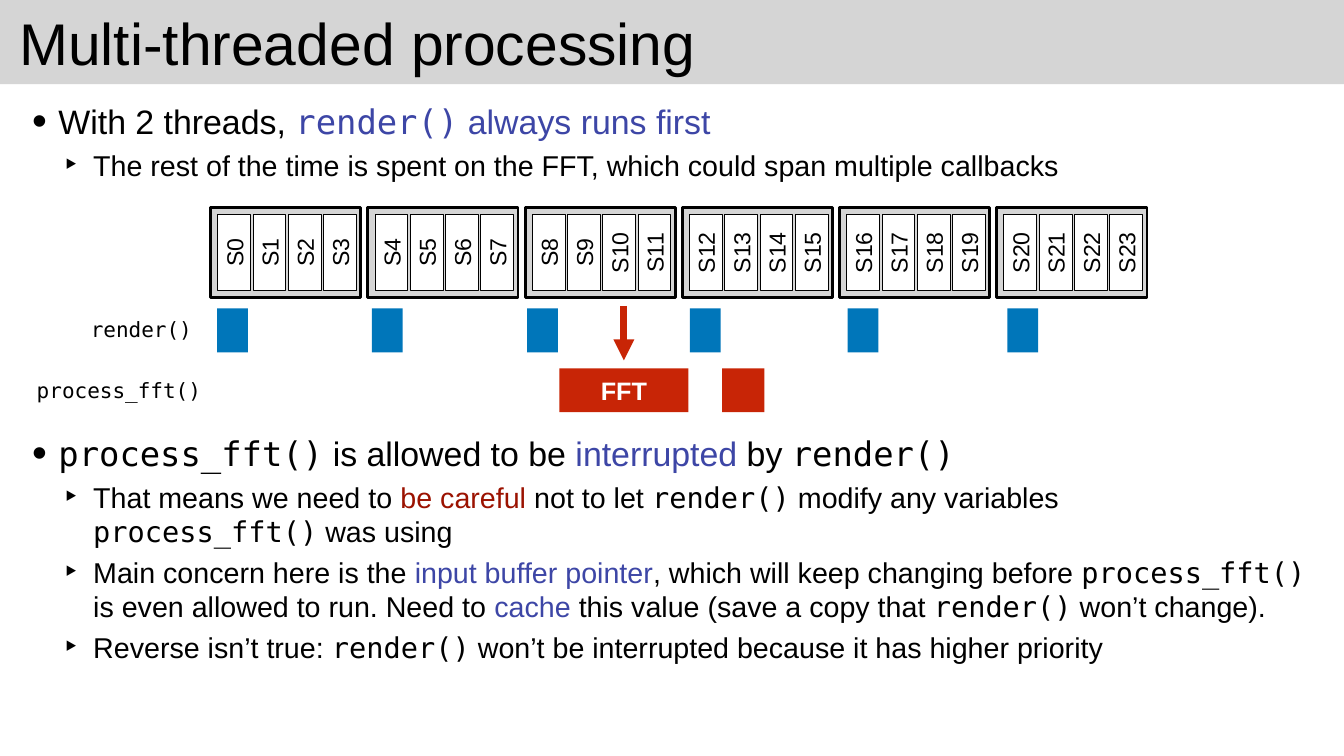
from dataclasses import dataclass

from lxml.etree import SubElement
from pptx import Presentation
from pptx.dml.color import RGBColor
from pptx.enum.shapes import MSO_CONNECTOR, MSO_SHAPE
from pptx.enum.text import MSO_ANCHOR, PP_ALIGN
from pptx.oxml.ns import qn
from pptx.util import Inches, Pt


@dataclass(frozen=True)
class Theme:
    sans: str = "Arial"
    mono: str = "DejaVu Sans Mono"
    black: RGBColor = RGBColor.from_string("000000")
    white: RGBColor = RGBColor.from_string("FFFFFF")
    gray: RGBColor = RGBColor.from_string("D5D5D5")
    accent: RGBColor = RGBColor.from_string("3D46A6")
    warning: RGBColor = RGBColor.from_string("9B1200")
    render: RGBColor = RGBColor.from_string("0076BA")
    fft: RGBColor = RGBColor.from_string("C82506")
    title_size: float = 84
    heading_size: float = 48.4
    detail_size: float = 40.9
    fft_size: float = 36
    sample_size: float = 33
    label_size: float = 30


theme = Theme()
presentation = Presentation()
presentation.slide_width, presentation.slide_height = Inches(26.67), Inches(15)
slide = presentation.slides.add_slide(presentation.slide_layouts[5])


def add_box(left, top, width, height, fill=None, line=0, text="", size=12,
            color=theme.black, font=theme.sans, bold=False):
    """Add a rectangle, or a plain text box when there is no fill, with centred text."""
    frame = [Inches(value) for value in (left, top, width, height)]
    if fill is None:
        shape = slide.shapes.add_textbox(*frame)
    else:
        shape = slide.shapes.add_shape(MSO_SHAPE.RECTANGLE, *frame)
        shape.shadow.inherit = False
        shape.fill.solid()
        shape.fill.fore_color.rgb = fill
        if line:
            shape.line.color.rgb = theme.black
            shape.line.width = Pt(line)
        else:
            shape.line.fill.background()
    if text:
        text_frame = shape.text_frame
        text_frame.word_wrap = False
        text_frame.vertical_anchor = MSO_ANCHOR.MIDDLE
        text_frame.margin_left = text_frame.margin_right = Inches(0.06)
        text_frame.margin_top = text_frame.margin_bottom = Inches(0.06)
        paragraph = text_frame.paragraphs[0]
        paragraph.text = text
        paragraph.alignment = PP_ALIGN.CENTER
        paragraph.font.name, paragraph.font.size = font, Pt(size)
        paragraph.font.bold, paragraph.font.color.rgb = bold, color
    return shape


def add_bullets(top, height, bullets):
    """Add a list of (level, runs); each run is text with an optional font and colour."""
    box = slide.shapes.add_textbox(Inches(0.58), Inches(top), Inches(25.79), Inches(height))
    text_frame = box.text_frame
    text_frame.word_wrap = True
    text_frame.margin_left = text_frame.margin_right = Inches(0.06)
    text_frame.margin_top = text_frame.margin_bottom = Inches(0.06)
    for index, (level, runs) in enumerate(bullets):
        paragraph = text_frame.add_paragraph() if index else text_frame.paragraphs[0]
        paragraph.level = level
        if index:
            paragraph.space_before = Pt(9)
        margin, hanging, mark = ((0.52, 0.52, "•"), (1.21, 0.57, "‣"))[level]
        properties = paragraph._p.get_or_add_pPr()
        properties.set("marL", str(Inches(margin)))
        properties.set("indent", str(-Inches(hanging)))
        SubElement(properties, qn("a:buSzPct"), val="125000")
        SubElement(properties, qn("a:buFont"), typeface=theme.sans)
        SubElement(properties, qn("a:buChar"), char=mark)
        paragraph.font.size = Pt((theme.heading_size, theme.detail_size)[level])
        paragraph.font.name, paragraph.font.color.rgb = theme.sans, theme.black
        for text, *style in runs:
            if text == "\n":
                paragraph.add_line_break()
                continue
            run = paragraph.add_run()
            run.text = text
            for value in style:
                if isinstance(value, RGBColor):
                    run.font.color.rgb = value
                else:
                    run.font.name = value


# Title band
title = slide.shapes.title
title.left, title.top, title.width, title.height = 0, 0, presentation.slide_width, Inches(1.67)
title.fill.solid()
title.fill.fore_color.rgb = theme.gray
title.text_frame.margin_left = Inches(0.38)
title.text_frame.vertical_anchor = MSO_ANCHOR.MIDDLE
title.text_frame.text = "Multi-threaded processing"
paragraph = title.text_frame.paragraphs[0]
paragraph.alignment = PP_ALIGN.LEFT
paragraph.font.name, paragraph.font.size = theme.sans, Pt(theme.title_size)
paragraph.font.color.rgb = theme.black

# Explanations above and below the timeline
render, process = ("render()", theme.mono), ("process_fft()", theme.mono)
add_bullets(1.94, 1.9, [
    (0, [("With 2 threads, ",), (*render, theme.accent),
         (" always runs first", theme.accent)]),
    (1, [("The rest of the time is spent on the FFT, which could span multiple callbacks",)]),
])
add_bullets(8.53, 5.2, [
    (0, [process, (" is allowed to be ",), ("interrupted", theme.accent), (" by ",), render]),
    (1, [("That means we need to",), (" be careful", theme.warning), (" not to let ",), render,
         (" modify any variables ",), ("\n",), process, (" was using",)]),
    (1, [("Main concern here is the ",), ("input buffer pointer", theme.accent),
         (", which will keep changing before ",), process,
         (" is even allowed to run. Need to ",), ("cache", theme.accent),
         (" this value (save a copy that ",), render, (" won’t change).",)]),
    (1, [("Reverse isn’t true: ",), render,
         (" won’t be interrupted because it has higher priority",)]),
])

# Timeline: one column per buffer of four samples, with a render() call below each
FIRST_BUFFER, BUFFER_PITCH, SAMPLE_PITCH, SAMPLES = 4.18, 3.12, 0.7, 4
RENDER_ROW, FFT_ROW, TASK_HEIGHT = 6.12, 7.31, 0.87
render_delays = [0.13, 0.08, 0.04, 0.15, 0.16, 0.21]

for buffer, delay in enumerate(render_delays):
    left = FIRST_BUFFER + buffer * BUFFER_PITCH
    add_box(left, 4.12, 2.98, 1.79, theme.gray, 4)
    for sample in range(SAMPLES):
        cell = add_box(left + 0.14 + sample * SAMPLE_PITCH, 4.26, 0.65, 1.51, theme.white, 1,
                       f"S{buffer * SAMPLES + sample}", theme.sample_size)
        cell.text_frame._txBody.bodyPr.set("vert", "vert270")
    add_box(left + delay, RENDER_ROW, 0.61, TASK_HEIGHT, theme.render)

add_box(11.1, FFT_ROW, 2.56, TASK_HEIGHT, theme.fft, 0, "FFT", theme.fft_size, theme.white,
        bold=True)
add_box(14.33, FFT_ROW, 0.84, TASK_HEIGHT, theme.fft)

# Row labels, with room to stay on one line
for text, left, top, width in [("render()", 1.69, 6.23, 2.23), ("process_fft()", 0.56, 7.44, 3.6)]:
    add_box(left, top, width, 0.61, text=text, size=theme.label_size, font=theme.mono)

arrow = slide.shapes.add_connector(MSO_CONNECTOR.STRAIGHT, Inches(12.38), Inches(6.07),
                                   Inches(12.38), Inches(7.15))
arrow.line.color.rgb = theme.fft
arrow.line.width = Pt(10)
SubElement(arrow.line._get_or_add_ln(), qn("a:tailEnd"), type="triangle")
SubElement(arrow._element.spPr, qn("a:effectLst"))

presentation.save("out.pptx")
